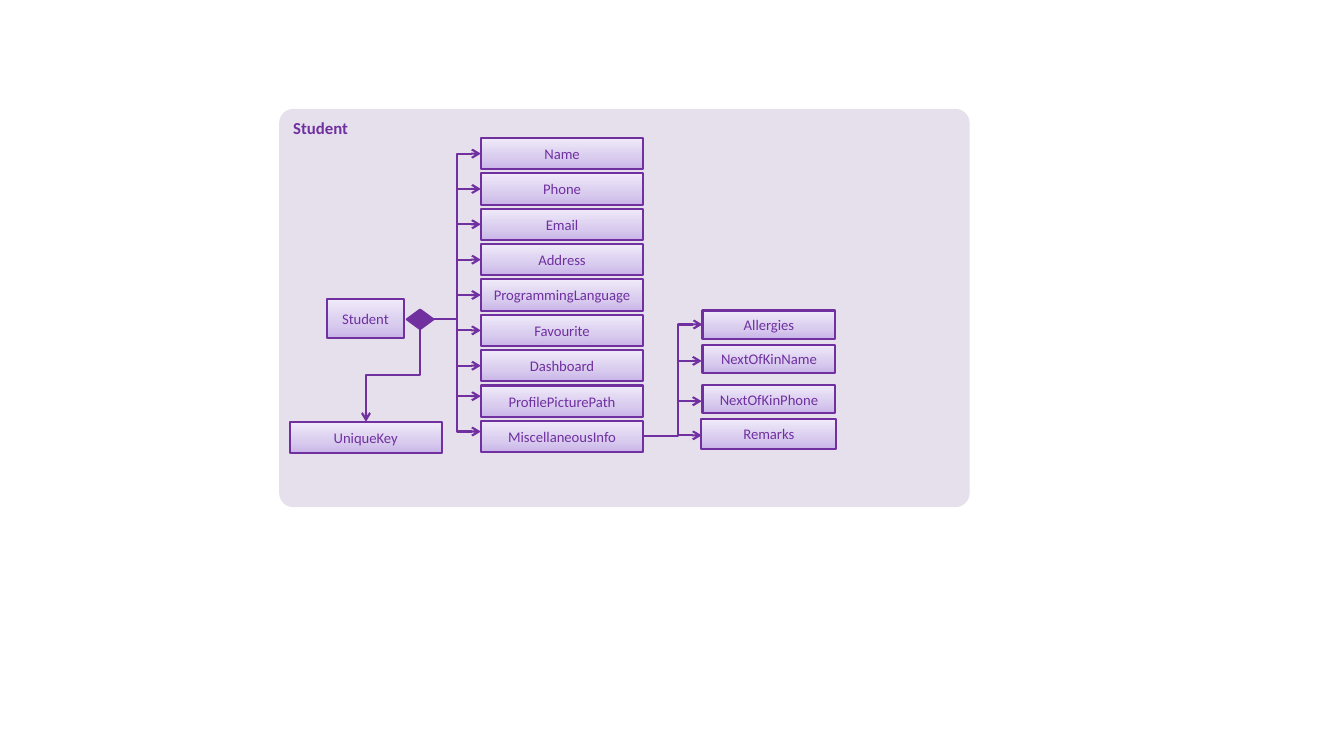
import copy

import pptx
import pptx.dml.color
import pptx.enum.shapes
import pptx.enum.text
import pptx.oxml.ns
import pptx.oxml.xmlchemy
import pptx.util
from lxml import etree

Pt = pptx.util.Pt
RGB = pptx.dml.color.RGBColor
SHAPE = pptx.enum.shapes.MSO_SHAPE
ELBOW = pptx.enum.shapes.MSO_CONNECTOR.ELBOW
ALIGN = pptx.enum.text.PP_ALIGN
ANCHOR = pptx.enum.text.MSO_ANCHOR
qn = pptx.oxml.ns.qn

PURPLE = RGB(0x70, 0x30, 0xA0)
PALE = RGB(0xE6, 0xE0, 0xEC)
STOPS = [
    (0, RGB(0xC9, 0xB5, 0xE8)),
    (0.35, RGB(0xD8, 0xCB, 0xEE)),
    (1, RGB(0xF0, 0xEA, 0xF9)),
]


def write(shape, text, size=10.5, bold=False, align=ALIGN.CENTER, anchor=ANCHOR.MIDDLE):
    frame = shape.text_frame
    frame.word_wrap = True
    frame.vertical_anchor = anchor
    para = frame.paragraphs[0]
    para.alignment = align
    run = para.add_run()
    run.text = text
    run.font.name = "Calibri"
    run.font.size = Pt(size)
    run.font.bold = bold
    run.font.color.rgb = PURPLE


class Chart:
    """Draws class diagram parts on one slide, in points."""

    def __init__(self, slide, ink=PURPLE, weight=1.5):
        self.slide = slide
        self.ink = ink
        self.weight = weight

    def shape(self, kind, x, y, w, h):
        item = self.slide.shapes.add_shape(kind, Pt(x), Pt(y), Pt(w), Pt(h))
        item.shadow.inherit = False
        return item

    def stroke(self, item):
        item.line.color.rgb = self.ink
        item.line.width = Pt(self.weight)

    def panel(self, text, x, y, w, h):
        item = self.shape(SHAPE.ROUNDED_RECTANGLE, x, y, w, h)
        item.adjustments[0] = 0.035
        item.fill.solid()
        item.fill.fore_color.rgb = PALE
        item.line.fill.background()
        write(item, text, size=12, bold=True, align=ALIGN.LEFT, anchor=ANCHOR.TOP)

    def box(self, text, x, y, w, h):
        item = self.shape(SHAPE.RECTANGLE, x, y, w, h)
        item.fill.gradient()
        item.fill.gradient_angle = 90
        stops = item._element.spPr.find(qn("a:gradFill")).find(qn("a:gsLst"))
        stops.append(copy.deepcopy(stops[0]))
        for stop, (place, color) in zip(item.fill.gradient_stops, STOPS):
            stop.position = place
            stop.color.rgb = color
        self.stroke(item)
        write(item, text)

    def diamond(self, x, y, w, h):
        item = self.shape(SHAPE.FLOWCHART_DECISION, x, y, w, h)
        item.fill.solid()
        item.fill.fore_color.rgb = self.ink
        self.stroke(item)

    def arrow(self, x1, y1, x2, y2, bend=0.5, turn=0):
        """Elbow arrow; bend is the share of the width before the turn."""
        item = self.slide.shapes.add_connector(ELBOW, Pt(x1), Pt(y1), Pt(x2), Pt(y2))
        self.stroke(item)
        props = item._element.spPr
        if turn:
            props.find(qn("a:xfrm")).set("rot", str(turn * 60000))
        guides = props.find(qn("a:prstGeom")).find(qn("a:avLst"))
        guide = etree.SubElement(guides, qn("a:gd"))
        guide.set("name", "adj1")
        guide.set("fmla", f"val {round(bend * 100000)}")
        etree.SubElement(props.find(qn("a:ln")), qn("a:tailEnd")).set("type", "arrow")
        etree.SubElement(props, qn("a:effectLst"))


# Fields: label, start of the arrow (None = diamond), shift of the arrow tip
FIELDS = [
    ("Name", 141.8, 0),
    ("Phone", None, 0),
    ("Email", None, 0),
    ("Address", 133.9, 0),
    ("ProgrammingLanguage", 166.3, 0),
    ("Favourite", 191.5, 0),
    ("Dashboard", 226.1, 0),
    ("ProfilePicturePath", 247, -3.5),
    ("MiscellaneousInfo", 272.2, -3.5),
]
# Details: label, box left, top, width, height, start and end of the arrow
DETAILS = [
    ("Allergies", 501.8, 221.8, 95, 20.2, None, 231.8),
    ("NextOfKinName", 501.8, 246.2, 95, 20.2, 257.8, 257.8),
    ("NextOfKinPhone", 501.8, 275, 95, 20.2, 250.6, 286.6),
    ("Remarks", 501, 299.5, 96.5, 21, 275, 311),
]
LEFT, TOP, WIDE, HIGH, PITCH = 343.5, 98.6, 116, 22.3, 25.25
HUB_X, HUB_Y = 309.4, 228.2
TRUNK, BRANCH = 326.6, 484.4


def main():
    deck = pptx.Presentation()
    deck.slide_width, deck.slide_height = Pt(960), Pt(540)
    chart = Chart(deck.slides.add_slide(deck.slide_layouts[6]))

    # Panel, class and key
    chart.panel("Student", 199.4, 77.8, 493.2, 284.4)
    chart.box("Student", 233.3, 213.8, 55.5, 27.4)
    chart.diamond(290.6, 221.2, 19, 13.9)
    chart.box("UniqueKey", 207, 301.5, 108.5, HIGH)
    chart.arrow(247.7, 248.7, 314, 287.6, turn=90)

    # Fields
    for row, (label, start, shift) in enumerate(FIELDS):
        y = TOP + row * PITCH
        tip = y + HIGH / 2 + shift
        chart.box(label, LEFT, y, WIDE, HIGH)
        if start is None:
            chart.arrow(HUB_X, HUB_Y, LEFT, tip)
        else:
            chart.arrow(TRUNK, start, LEFT, tip, bend=0)

    # Details of the last field
    for label, x, y, w, h, start, tip in DETAILS:
        chart.box(label, x, y, w, h)
        if start is None:
            chart.arrow(LEFT + WIDE, 311.2, x, tip, bend=0.59)
        else:
            chart.arrow(BRANCH, start, 501.2, tip, bend=0)

    deck.save("out.pptx")


if __name__ == "__main__":
    main()
